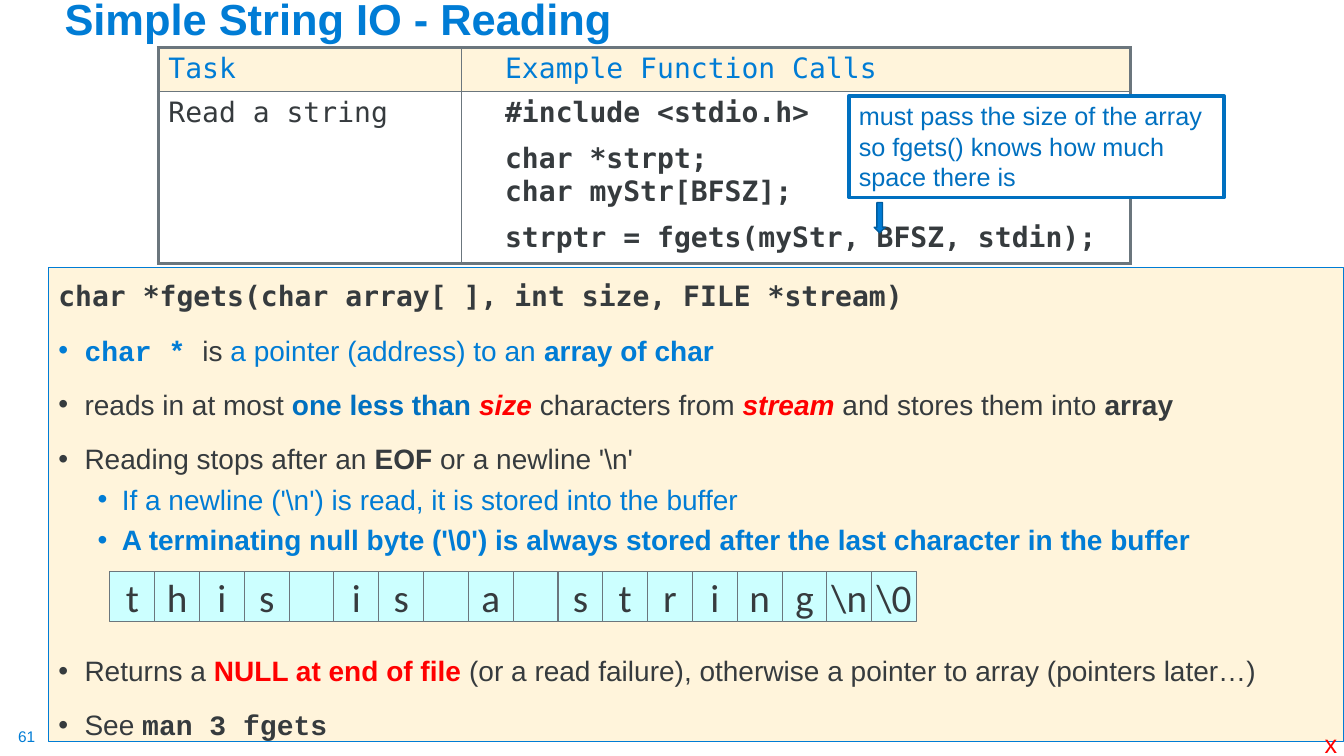
from dataclasses import dataclass

from lxml.etree import SubElement
from pptx import Presentation
from pptx.dml.color import RGBColor
from pptx.enum.shapes import MSO_SHAPE
from pptx.enum.text import MSO_ANCHOR, MSO_AUTO_SIZE, PP_ALIGN
from pptx.oxml.ns import qn
from pptx.util import Inches, Pt


@dataclass(frozen=True)
class Theme:
    blue: str = "007CD5"
    callout_blue: str = "0070C0"
    arrow_edge: str = "005C9E"
    ink: str = "363B3E"
    red: str = "FF0000"
    grey: str = "6B767D"
    cream: str = "FFF4DB"
    cyan: str = "CCFFFF"
    white: str = "FFFFFF"
    sans: str = "Arial"
    mono: str = "DejaVu Sans Mono"
    courier: str = "Courier New"
    cell_font: str = "Calibri"
    title_size: int = 31
    body_size: int = 20
    cell_size: int = 28
    note_size: int = 18
    number_size: int = 11


THEME = Theme()

# Span styles: font, colour, bold, italic
PLAIN = (THEME.sans, THEME.ink, False, False)
BOLD = (THEME.sans, THEME.ink, True, False)
BLUE = (THEME.sans, THEME.blue, False, False)
BLUE_BOLD = (THEME.sans, THEME.blue, True, False)
LIMIT = (THEME.sans, THEME.callout_blue, True, False)
RED_BOLD = (THEME.sans, THEME.red, True, False)
RED_ITALIC = (THEME.sans, THEME.red, True, True)
CODE = (THEME.mono, THEME.ink, True, False)
CODE_PLAIN = (THEME.mono, THEME.ink, False, False)
CODE_HEAD = (THEME.mono, THEME.blue, False, False)
COURIER = (THEME.courier, THEME.ink, True, False)
COURIER_BLUE = (THEME.courier, THEME.blue, True, False)

# Layout of a level: left margin, hanging indent, line spacing, space before
LEVELS = [(0.26, 0.26, 1.2, 10), (0.63, 0.24, 1.0, 5)]
ARRAY_GAP = 64.5  # room for the character array, in points

# Points about fgets: level, space before (None for the usual), spans
POINTS = [
    (0, None, [("char * ", COURIER_BLUE), ("is ", PLAIN),
               ("a pointer (address) to an ", BLUE), ("array of char", BLUE_BOLD)]),
    (0, None, [("reads in at most ", PLAIN), ("one less than ", LIMIT),
               ("size ", RED_ITALIC), ("characters from ", PLAIN),
               ("stream", RED_ITALIC), (" and stores them into ", PLAIN),
               ("array", BOLD)]),
    (0, None, [("Reading stops after an ", PLAIN), ("EOF", BOLD),
               (" or a newline '\\n'", PLAIN)]),
    (1, None, [("If a newline ('\\n') is read, it is stored into the buffer", BLUE)]),
    (1, None, [("A terminating null byte ('\\0') is always stored after the last "
                "character in the buffer", BLUE_BOLD)]),
    (0, ARRAY_GAP, [("Returns a ", PLAIN), ("NULL at end of file ", RED_BOLD),
                    ("(or a read failure), otherwise a pointer to array "
                     "(pointers later…)", PLAIN)]),
    (0, None, [("See ", PLAIN), ("man 3 fgets", COURIER)]),
]
BUFFER = [*"this is a string", "\\n", "\\0"]

TABLE_ROWS = [
    [(["Task"], CODE_HEAD), (["Example Function Calls"], CODE_HEAD)],
    [(["Read a string"], CODE_PLAIN),
     (["#include <stdio.h>", "char *strpt;\vchar myStr[BFSZ];",
       "strptr = fgets(myStr, BFSZ, stdin);"], CODE)],
]


def colour(value):
    return RGBColor.from_string(value)


def set_font(font, style, size):
    font.name, font.bold, font.italic = style[0], style[2], style[3]
    font.color.rgb = colour(style[1])
    font.size = Pt(size)


def add_box(shapes, kind, place, fill, edge, width):
    box = shapes.add_shape(kind, *map(Inches, place))
    box.shadow.inherit = False
    box.fill.solid()
    box.fill.fore_color.rgb = colour(fill)
    box.line.color.rgb = colour(edge)
    box.line.width = Pt(width)
    return box


def write(frame, text, style, size, align=PP_ALIGN.LEFT):
    para = frame.paragraphs[0]
    para.text = text
    para.alignment = align
    set_font(para.font, style, size)
    return para


def add_label(page, text, place, style, size, inset=None):
    frame = page.shapes.add_textbox(*map(Inches, place)).text_frame
    frame.word_wrap = False
    if inset is not None:
        frame.margin_left = frame.margin_right = Inches(inset)
        frame.margin_top = frame.margin_bottom = Inches(inset)
    write(frame, text, style, size)


def add_point(frame, level, before, spans):
    margin, hang, spacing, usual_before = LEVELS[level]
    para = frame.add_paragraph()
    para.level = level
    para.alignment = PP_ALIGN.LEFT
    para.line_spacing = spacing
    para.space_before = Pt(before or usual_before)
    properties = para._p.get_or_add_pPr()
    properties.set("marL", str(Inches(margin)))
    properties.set("indent", str(-Inches(hang)))
    SubElement(properties, qn("a:buFont")).set("typeface", THEME.sans)
    SubElement(properties, qn("a:buChar")).set("char", "•")
    para.font.size = Pt(THEME.body_size)
    for text, style in spans:
        span = para.add_run()
        span.text = text
        set_font(span.font, style, THEME.body_size)


def add_panel(page):
    panel = add_box(page.shapes, MSO_SHAPE.RECTANGLE, (0.48, 2.65, 12.85, 4.71),
                    THEME.cream, THEME.blue, 0.75)
    frame = panel.text_frame
    frame.vertical_anchor = MSO_ANCHOR.TOP
    signature = write(frame, "char *fgets(char array[ ], int size, FILE *stream)",
                      CODE, THEME.body_size)
    signature.line_spacing = LEVELS[0][2]
    for point in POINTS:
        add_point(frame, *point)


def add_buffer(page):
    group = page.shapes.add_group_shape()
    pitch = 8 / len(BUFFER)
    for index, letter in enumerate(BUFFER):
        cell = add_box(group.shapes, MSO_SHAPE.RECTANGLE,
                       (1.09 + index * pitch, 5.67, pitch, 0.5),
                       THEME.cyan, THEME.grey, 0.75)
        if letter != " ":
            cell.text_frame.word_wrap = False
            cell.text_frame.vertical_anchor = MSO_ANCHOR.MIDDLE
            write(cell.text_frame, letter, (THEME.cell_font, THEME.ink, False, False),
                  THEME.cell_size, PP_ALIGN.CENTER)


def set_borders(cell, row, column):
    # Thick lines on the outside of the table, thin ones inside
    outer = {"L": column == 0, "R": column == 1, "T": row == 0, "B": row == 1}
    for side, thick in outer.items():
        line = SubElement(cell._tc.get_or_add_tcPr(), qn(f"a:ln{side}"))
        line.set("w", str(Pt(2.25 if thick else 1)))
        fill = SubElement(line, qn("a:solidFill"))
        SubElement(fill, qn("a:srgbClr")).set("val", THEME.grey)


def add_calls_table(page):
    table = page.shapes.add_table(
        2, 2, *map(Inches, (1.57, 0.47, 9.64, 2.04))).table
    table.first_row = table.horz_banding = False
    for column, width in zip(table.columns, (3.01, 6.63)):
        column.width = Inches(width)
    for row, height in zip(table.rows, (0.41, 1.63)):
        row.height = Inches(height)
    for row, contents in enumerate(TABLE_ROWS):
        for column, (lines, style) in enumerate(contents):
            cell = table.cell(row, column)
            set_borders(cell, row, column)
            if row == 0:
                cell.fill.solid()
                cell.fill.fore_color.rgb = colour(THEME.cream)
            else:
                cell.fill.background()
            cell.margin_left = Inches(0.43 if column else 0.1)
            frame = cell.text_frame
            frame.text = "\n".join(lines)
            for index, para in enumerate(frame.paragraphs):
                set_font(para.font, style, THEME.body_size)
                if index:
                    para.space_before = Pt(THEME.body_size / 2)


def add_title(page):
    title = page.shapes.title
    title.left, title.top, title.width, title.height = map(
        Inches, (0.54, 0.08, 11.5, 0.42))
    title.text_frame.vertical_anchor = MSO_ANCHOR.BOTTOM
    title.text_frame.auto_size = MSO_AUTO_SIZE.NONE
    para = write(title.text_frame, "Simple String IO - Reading", BLUE_BOLD,
                 THEME.title_size)
    para.line_spacing = 0.9


def add_callout(page):
    note = add_box(page.shapes, MSO_SHAPE.RECTANGLE, (8.42, 0.95, 3.72, 1.01),
                   THEME.white, THEME.callout_blue, 2.5)
    note.text_frame.vertical_anchor = MSO_ANCHOR.TOP
    write(note.text_frame,
          "must pass the size of the array so fgets() knows how much space there is",
          (THEME.sans, THEME.callout_blue, False, False), THEME.note_size)
    add_box(page.shapes, MSO_SHAPE.DOWN_ARROW, (8.67, 2.01, 0.11, 0.3),
            THEME.blue, THEME.arrow_edge, 1)


def main():
    deck = Presentation()
    deck.slide_width, deck.slide_height = Inches(13.33), Inches(7.5)
    page = deck.slides.add_slide(deck.slide_layouts[5])
    add_label(page, "61", (0.18, 7.21, 0.19, 0.19), BLUE, THEME.number_size, inset=0)
    add_panel(page)
    add_title(page)
    add_buffer(page)
    add_calls_table(page)
    add_label(page, "x", (13.04, 7.18, 0.33, 0.4),
              (THEME.sans, THEME.red, False, False), THEME.note_size)
    add_callout(page)
    deck.save("out.pptx")


if __name__ == "__main__":
    main()
